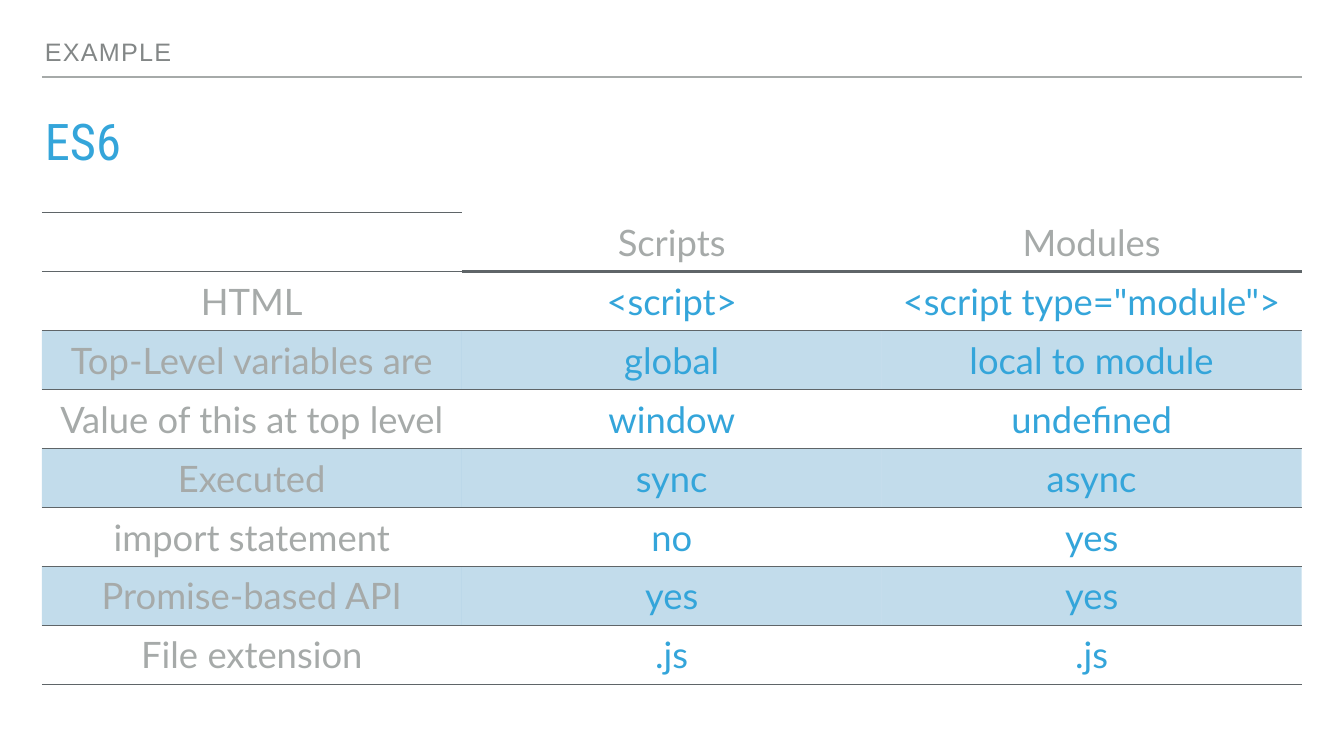
from lxml.etree import SubElement
from pptx import Presentation
from pptx.dml.color import RGBColor
from pptx.enum.shapes import MSO_CONNECTOR
from pptx.enum.text import MSO_ANCHOR, MSO_AUTO_SIZE, PP_ALIGN
from pptx.oxml import parse_xml
from pptx.oxml.ns import nsdecls, qn
from pptx.util import Inches, Pt

SECTION = "EXAMPLE"
TITLE = "ES6"
ROWS = [
    ("", "Scripts", "Modules"),
    ("HTML", "<script>", '<script type="module">'),
    ("Top-Level variables are", "global", "local to module"),
    ("Value of this at top level", "window", "undefined"),
    ("Executed", "sync", "async"),
    ("import statement", "no", "yes"),
    ("Promise-based API", "yes", "yes"),
    ("File extension", ".js", ".js"),
]

THEME = {
    "section": {"font": "Arial", "size": 36, "color": "838787"},
    "title": {"font": "Roboto Condensed", "size": 72.2, "color": "34A5DA"},
    "label": {"font": "Lato", "size": 52, "color": "A6AAA9"},
    "value": {"font": "Lato", "size": 52, "color": "34A5DA"},
    "rule": "A6AAA9",
    "border": "5F6568",
    "band": "2E87BB",
    "band_opacity": 29,
    "thin": 2,
    "thick": 5,
}
LEFT, WIDTH = 0.83, 25
RULE_TOP, TABLE_TOP, ROW_HEIGHT = 1.53, 4.22, 1.17
INSET = Inches(0.06)


def write(frame, text, font, size, color, align=PP_ALIGN.LEFT, line_spacing=None, tracking=None):
    paragraph = frame.paragraphs[0]
    paragraph.alignment = align
    paragraph.line_spacing = line_spacing
    run = paragraph.add_run()
    run.text = text
    run.font.name = font
    run.font.size = Pt(size)
    run.font.bold = False
    run.font.color.rgb = RGBColor.from_string(color)
    if tracking:
        run.font._element.set("spc", str(round(tracking * 100)))


def fill_placeholder(shape, text, top, width, height, anchor, **text_format):
    shape.left, shape.top = Inches(LEFT), Inches(top)
    shape.width, shape.height = Inches(width), Inches(height)
    frame = shape.text_frame
    frame.word_wrap = True
    frame.auto_size = MSO_AUTO_SIZE.NONE
    frame.vertical_anchor = anchor
    frame.margin_left = frame.margin_right = INSET
    frame.margin_top = frame.margin_bottom = INSET
    write(frame, text, line_spacing=0.8, **text_format)
    frame.paragraphs[0].space_before = Pt(0)


def add_rule(slide):
    y = Inches(RULE_TOP)
    rule = slide.shapes.add_connector(
        MSO_CONNECTOR.STRAIGHT, Inches(LEFT), y, Inches(LEFT + WIDTH), y)
    rule.line.color.rgb = RGBColor.from_string(THEME["rule"])
    rule.line.width = Pt(2)
    SubElement(rule._element.spPr, qn("a:effectLst"))


def set_borders(cell, top, bottom):
    properties = cell._tc.get_or_add_tcPr()
    sides = {"lnL": 0, "lnR": 0, "lnT": top, "lnB": bottom}
    for index, (side, width) in enumerate(sides.items()):
        paint = (f'<a:solidFill><a:srgbClr val="{THEME["border"]}"/></a:solidFill>'
                 if width else "<a:noFill/>")
        properties.insert(index, parse_xml(
            f'<a:{side} {nsdecls("a")} w="{Pt(width)}">{paint}</a:{side}>'))


def set_band(cell):
    cell.fill.solid()
    cell.fill.fore_color.rgb = RGBColor.from_string(THEME["band"])
    color = cell._tc.tcPr.find(f'{qn("a:solidFill")}/{qn("a:srgbClr")}')
    SubElement(color, qn("a:alpha"), val=str(THEME["band_opacity"] * 1000))


def border_below(row, column):
    return THEME["thick"] if row == 0 and column > 0 else THEME["thin"]


def border_above(row, column):
    if row == 0:
        return THEME["thin"] if column == 0 else 0
    return border_below(row - 1, column)


def add_comparison_table(slide):
    table = slide.shapes.add_table(
        len(ROWS), len(ROWS[0]), Inches(LEFT), Inches(TABLE_TOP),
        Inches(WIDTH), Inches(ROW_HEIGHT * len(ROWS))).table
    table.first_row = table.horz_banding = False
    for row, texts in enumerate(ROWS):
        for column, text in enumerate(texts):
            cell = table.cell(row, column)
            cell.vertical_anchor = MSO_ANCHOR.MIDDLE
            cell.margin_left = cell.margin_right = INSET
            cell.margin_top = cell.margin_bottom = INSET
            if row > 0 and row % 2 == 0:
                set_band(cell)
            else:
                cell.fill.background()
            set_borders(cell, border_above(row, column), border_below(row, column))
            style = THEME["label" if row == 0 or column == 0 else "value"]
            if text:
                write(cell.text_frame, text, align=PP_ALIGN.CENTER, **style)


def main():
    presentation = Presentation()
    presentation.slide_width = Inches(26.67)
    presentation.slide_height = Inches(15)
    section_layout = presentation.slide_layouts[2]
    slide = presentation.slides.add_slide(section_layout)
    add_rule(slide)
    fill_placeholder(slide.placeholders[1], SECTION, 0.69, 22.92, 0.69,
                     MSO_ANCHOR.BOTTOM, tracking=1.8, **THEME["section"])
    fill_placeholder(slide.shapes.title, TITLE, 2.36, WIDTH, 1.11,
                     MSO_ANCHOR.TOP, **THEME["title"])
    add_comparison_table(slide)
    presentation.save("out.pptx")


if __name__ == "__main__":
    main()
